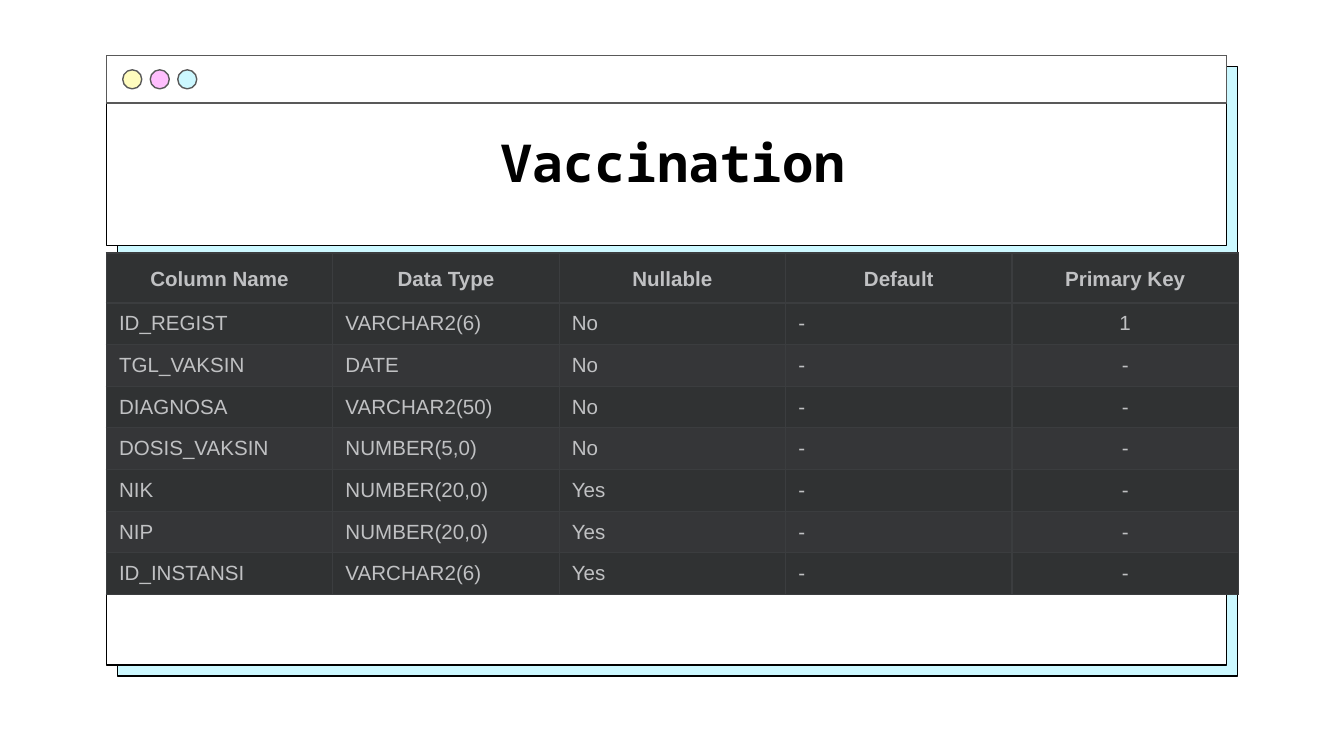
from dataclasses import dataclass
from typing import NamedTuple

from lxml import etree
from pptx import Presentation
from pptx.dml.color import RGBColor
from pptx.enum.shapes import MSO_SHAPE
from pptx.enum.text import MSO_ANCHOR, PP_ALIGN
from pptx.oxml.ns import qn
from pptx.util import Cm, Pt

RECT, OVAL = MSO_SHAPE.RECTANGLE, MSO_SHAPE.OVAL
LEFT, CENTER = PP_ALIGN.LEFT, PP_ALIGN.CENTER
TOP, MIDDLE, BOTTOM = MSO_ANCHOR.TOP, MSO_ANCHOR.MIDDLE, MSO_ANCHOR.BOTTOM


@dataclass(frozen=True)
class Theme:
    white: str = "FFFFFF"
    black: str = "000000"
    gray: str = "595959"
    cyan: str = "CCF8FF"
    yellow: str = "FFFCBE"
    pink: str = "FFBFFD"
    dark: str = "303233"
    band: str = "353638"
    edge: str = "3B3D3F"
    text: str = "C0C1C3"
    head_font: str = "Noto Sans Mono"
    body_font: str = "Arial"
    head_size: float = 28
    body_size: float = 11
    thin: float = 0.75
    thick: float = 1


class Box(NamedTuple):
    x: float
    y: float
    w: float
    h: float


class Row(NamedTuple):
    name: str
    kind: str
    null: str
    default: str = "-"
    key: str = "-"


THEME = Theme()
SHIFT = 0.21
PANELS = [Box(2.01, 5.31, 21.17, 7.26), Box(2.01, 1.05, 21.17, 3.59)]
BAR = Box(2.01, 1.05, 21.17, 0.9)
DOT, STEP = Box(2.32, 1.32, 0.36, 0.36), 0.52
TITLE = Box(2.01, 2.29, 21.41, 1.6)
GRID = Box(2.01, 4.78, 21.4, 6.25)
HEAD_H, ROW_H = 0.93, 0.76
ROWS = [
    Row("Column Name", "Data Type", "Nullable", "Default", "Primary Key"),
    Row("ID_REGIST", "VARCHAR2(6)", "No", key="1"),
    Row("TGL_VAKSIN", "DATE", "No"),
    Row("DIAGNOSA", "VARCHAR2(50)", "No"),
    Row("DOSIS_VAKSIN", "NUMBER(5,0)", "No"),
    Row("NIK", "NUMBER(20,0)", "Yes"),
    Row("NIP", "NUMBER(20,0)", "Yes"),
    Row("ID_INSTANSI", "VARCHAR2(6)", "Yes"),
]


def rgb(code: str) -> RGBColor:
    return RGBColor.from_string(code)


def place(box: Box) -> list[Cm]:
    return [Cm(side) for side in box]


def draw(slide, kind, box: Box, fill: str, line: str) -> None:
    shape = slide.shapes.add_shape(kind, *place(box))
    shape.shadow.inherit = False
    shape.fill.solid()
    shape.fill.fore_color.rgb = rgb(fill)
    shape.line.color.rgb = rgb(line)
    shape.line.width = Pt(THEME.thin)


def write(frame, text: str, font: str, size: float, color: str,
          bold: bool, align) -> None:
    frame.text = text
    para = frame.paragraphs[0]
    para.alignment = align
    style = para.runs[0].font
    style.name, style.size, style.bold = font, Pt(size), bold
    style.color.rgb = rgb(color)


def edge(cell, side: str, width: float) -> None:
    line = etree.SubElement(cell._tc.get_or_add_tcPr(), qn(f"a:ln{side}"),
                            w=str(Pt(width)))
    fill = etree.SubElement(line, qn("a:solidFill"))
    etree.SubElement(fill, qn("a:srgbClr"), val=THEME.edge)


def fill_cell(cell, text: str, row: int, col: int) -> None:
    head, last = row == 0, col == len(Row._fields) - 1
    outer = {"L": col == 0, "R": last, "T": head, "B": False}
    for side, thick in outer.items():
        edge(cell, side, THEME.thick if thick else THEME.thin)
    cell.fill.solid()
    plain = head or row % 2 == 1
    cell.fill.fore_color.rgb = rgb(THEME.dark if plain else THEME.band)
    cell.margin_left = cell.margin_right = Cm(0.24)
    cell.margin_top = cell.margin_bottom = Cm(0.24 if head else 0.16)
    cell.vertical_anchor = BOTTOM if head else MIDDLE
    write(cell.text_frame, text, THEME.body_font, THEME.body_size, THEME.text,
          head, CENTER if head or last else LEFT)


def add_grid(slide, rows: list[Row]) -> None:
    count = len(Row._fields)
    table = slide.shapes.add_table(len(rows), count, *place(GRID)).table
    table.first_row = table.horz_banding = False
    for col in table.columns:
        col.width = Cm(GRID.w / count)
    for i, row in enumerate(rows):
        table.rows[i].height = Cm(ROW_H if i else HEAD_H)
        for j, text in enumerate(row):
            fill_cell(table.cell(i, j), text, i, j)


deck = Presentation()
deck.slide_width, deck.slide_height = Cm(25.4), Cm(14.29)
slide = deck.slides.add_slide(deck.slide_layouts[6])

# Window panels, each over a shifted cyan panel
for panel in PANELS:
    back = panel._replace(x=panel.x + SHIFT, y=panel.y + SHIFT)
    draw(slide, RECT, back, THEME.cyan, THEME.black)
    draw(slide, RECT, panel, THEME.white, THEME.black)

# Window bar and its buttons
draw(slide, RECT, BAR, THEME.white, THEME.gray)
for i, color in enumerate((THEME.yellow, THEME.pink, THEME.cyan)):
    draw(slide, OVAL, DOT._replace(x=DOT.x + i * STEP), color, THEME.gray)

# Title
frame = slide.shapes.add_textbox(*place(TITLE)).text_frame
frame.word_wrap = True
frame.vertical_anchor = TOP
frame.margin_top = Cm(0.18)
write(frame, "Vaccination", THEME.head_font, THEME.head_size, THEME.black,
      True, CENTER)

# Column table
add_grid(slide, ROWS)

deck.save("out.pptx")
